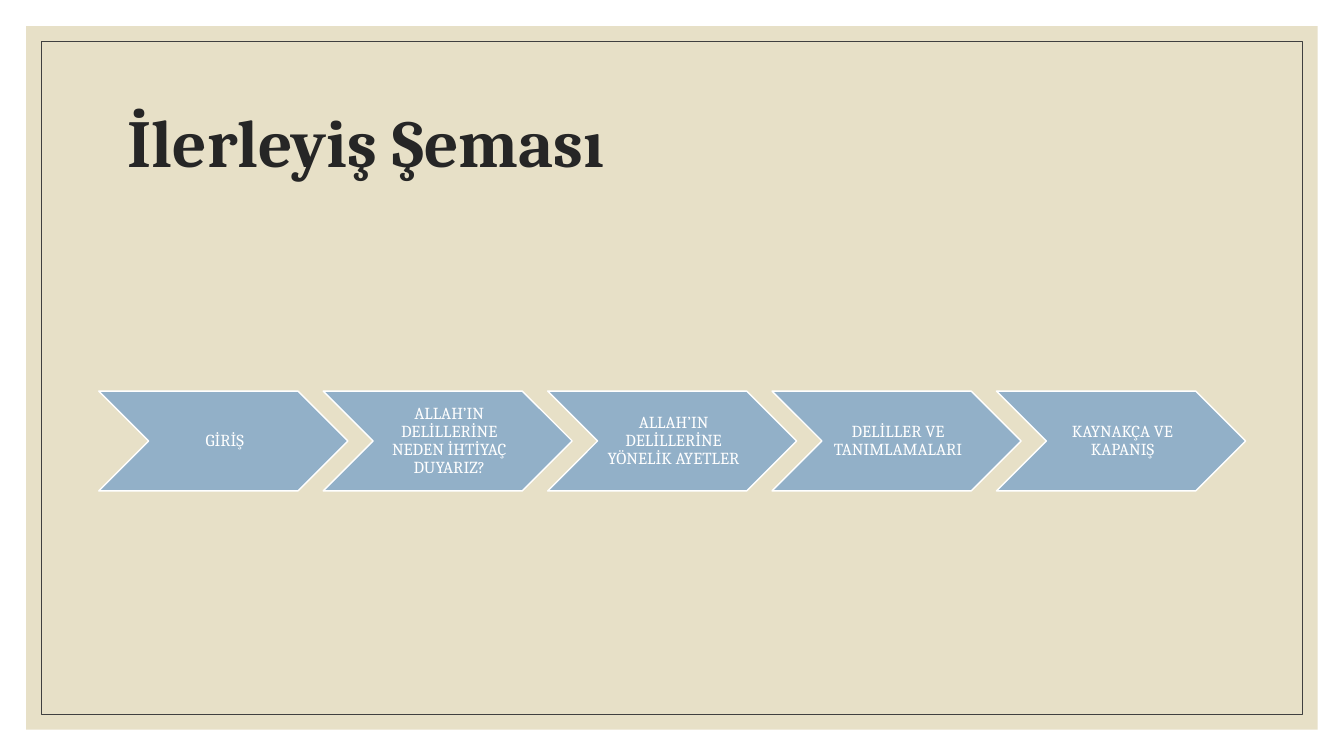
from pptx import Presentation
from pptx.dml.color import RGBColor
from pptx.enum.shapes import MSO_SHAPE
from pptx.enum.text import MSO_ANCHOR, PP_ALIGN
from pptx.util import Inches, Pt

TITLE = "İlerleyiş Şeması"
STEPS = [
    "GİRİŞ",
    "ALLAH’IN DELİLLERİNE NEDEN İHTİYAÇ DUYARIZ?",
    "ALLAH’IN DELİLLERİNE YÖNELİK AYETLER",
    "DELİLLER VE TANIMLAMALARI",
    "KAYNAKÇA VE KAPANIŞ",
]

FONT = "Cambria"
SAND = RGBColor(0xE7, 0xE0, 0xC7)
FRAME = RGBColor(0x40, 0x40, 0x40)
INK = RGBColor(0x26, 0x26, 0x26)
BLUE = RGBColor(0x92, 0xB0, 0xC8)
WHITE = RGBColor(0xFF, 0xFF, 0xFF)

SLIDE_W, SLIDE_H = 13.33, 7.5
STEP_LEFT, STEP_TOP, STEP_W, STEP_H = 0.98, 3.88, 2.47, 0.99
STEP_PITCH = 2.226

prs = Presentation()
prs.slide_width, prs.slide_height = Inches(SLIDE_W), Inches(SLIDE_H)
slide = prs.slides.add_slide(prs.slide_layouts[6])


def add_shape(kind, left, top, width, height, fill=None, line=None, line_width=1):
    shape = slide.shapes.add_shape(
        kind, Inches(left), Inches(top), Inches(width), Inches(height))
    shape.shadow.inherit = False
    if fill is None:
        shape.fill.background()
    else:
        shape.fill.solid()
        shape.fill.fore_color.rgb = fill
    if line is None:
        shape.line.fill.background()
    else:
        shape.line.color.rgb = line
        shape.line.width = Pt(line_width)
    return shape


def write(shape, text, size, color, align, bold=False):
    frame = shape.text_frame
    frame.word_wrap = True
    frame.vertical_anchor = MSO_ANCHOR.MIDDLE
    paragraph = frame.paragraphs[0]
    paragraph.alignment = align
    paragraph.line_spacing = 0.9
    run = paragraph.add_run()
    run.text = text
    run.font.name = FONT
    run.font.size = Pt(size)
    run.font.bold = bold
    run.font.color.rgb = color
    return frame


def add_inset_rect(inset, **style):
    add_shape(MSO_SHAPE.RECTANGLE, inset, inset,
              SLIDE_W - 2 * inset, SLIDE_H - 2 * inset, **style)


add_inset_rect(0.26, fill=SAND)
add_inset_rect(0.41, line=FRAME, line_width=0.5)

title = slide.shapes.add_textbox(Inches(1.17), Inches(0.7), Inches(11), Inches(1.5))
write(title, TITLE, 48, INK, PP_ALIGN.LEFT, bold=True)

for i, step in enumerate(STEPS):
    chevron = add_shape(MSO_SHAPE.CHEVRON, STEP_LEFT + i * STEP_PITCH, STEP_TOP,
                        STEP_W, STEP_H, fill=BLUE, line=WHITE)
    frame = write(chevron, step, 12, WHITE, PP_ALIGN.CENTER)
    frame.margin_left = Inches(0.05)
    frame.margin_right = frame.margin_top = frame.margin_bottom = Inches(0.02)

prs.save("out.pptx")
